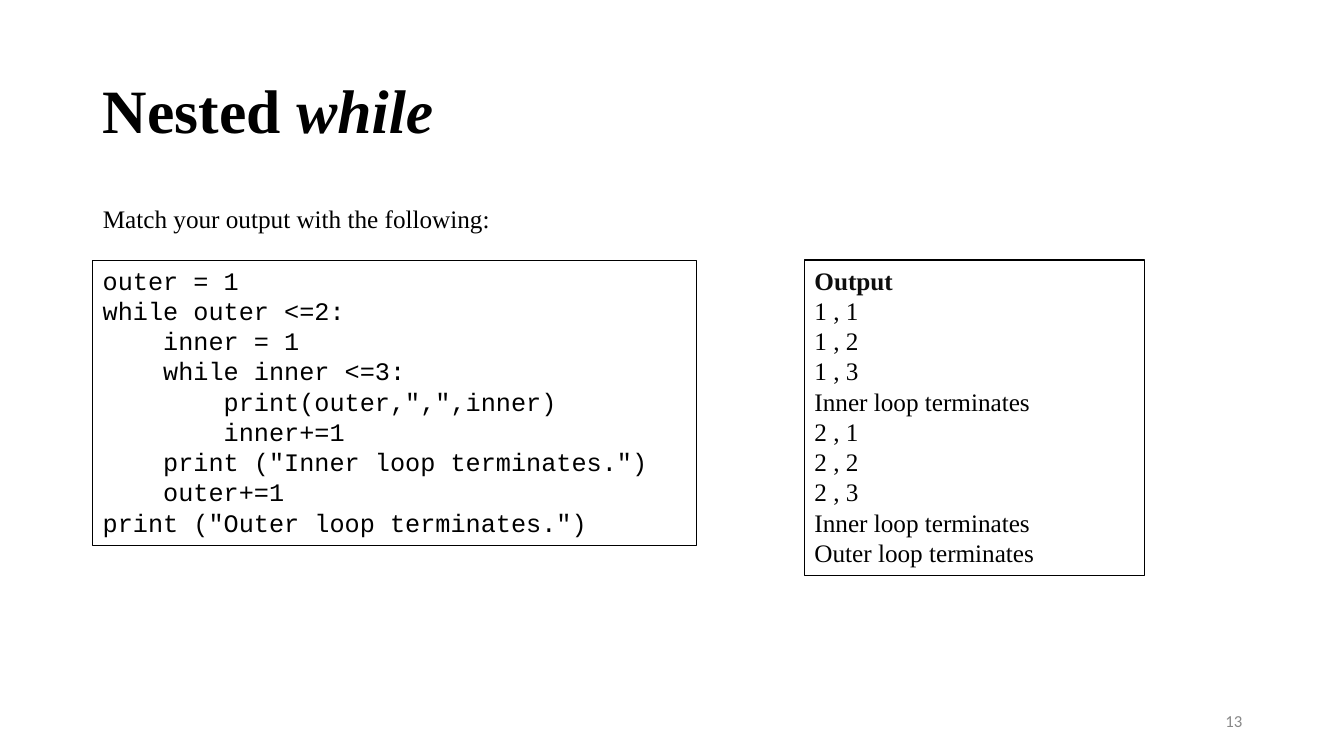
from pptx import Presentation
from pptx.dml.color import RGBColor
from pptx.enum.shapes import MSO_SHAPE
from pptx.enum.text import MSO_ANCHOR, PP_ALIGN
from pptx.util import Inches, Pt
from lxml.etree import SubElement
from pptx.oxml.ns import qn

COLORS = {"black": "000000", "heading": "0D0D0D", "number": "888888"}
SERIF = "Times New Roman"
MONO = "Courier New"
LEFT = 0.92
BOX_TOP = 2.58
CODE_INDENT = 0.6
CODE = [
    (0, "outer = 1"),
    (0, "while outer <=2:"),
    (1, "inner = 1"),
    (1, "while inner <=3:"),
    (2, 'print(outer,",",inner)'),
    (2, "inner+=1"),
    (1, 'print ("Inner loop terminates.")'),
    (1, "outer+=1"),
    (0, 'print ("Outer loop terminates.")'),
]
OUTPUT = [
    "Output",
    "1 , 1",
    "1 , 2",
    "1 , 3",
    "Inner loop terminates",
    "2 , 1",
    "2 , 2",
    "2 , 3",
    "Inner loop terminates",
    "Outer loop terminates",
]


def place(shape, left, top, width, height):
    shape.left, shape.top = Inches(left), Inches(top)
    shape.width, shape.height = Inches(width), Inches(height)


def format_run(run, font, size, color="black", bold=False, italic=False):
    run.font.name = font
    run.font.size = Pt(size)
    run.font.bold = bold
    run.font.italic = italic
    run.font.color.rgb = RGBColor.from_string(COLORS[color])


def set_indent(paragraph, indent):
    properties = paragraph._p.get_or_add_pPr()
    properties.set("marL", str(Inches(indent)))
    properties.set("indent", "0")


def add_title(slide):
    title = slide.shapes.title
    place(title, LEFT, 0.4, 11.5, 1.45)
    title.text_frame.vertical_anchor = MSO_ANCHOR.MIDDLE
    paragraph = title.text_frame.paragraphs[0]
    paragraph.alignment = PP_ALIGN.LEFT
    paragraph.line_spacing = 0.9
    for text, italic in (("Nested ", False), ("while", True)):
        run = paragraph.add_run()
        run.text = text
        format_run(run, SERIF, 44, bold=True, italic=italic)


def add_body(slide):
    body = slide.placeholders[1]
    place(body, LEFT, 2, 11.5, 4.76)
    body.text_frame.text = "Match your output with the following:"
    paragraph = body.text_frame.paragraphs[0]
    paragraph.line_spacing = 0.9
    paragraph.space_before = Pt(0)
    set_indent(paragraph, 0)
    SubElement(paragraph._p.get_or_add_pPr(), qn("a:buNone"))
    format_run(paragraph.runs[0], SERIF, 18)


def add_listing(slide, lines, left, width, height, line_width, font):
    box = slide.shapes.add_shape(
        MSO_SHAPE.RECTANGLE, Inches(left), Inches(BOX_TOP), Inches(width), Inches(height)
    )
    box.shadow.inherit = False
    box.fill.background()
    box.line.color.rgb = RGBColor.from_string(COLORS["black"])
    box.line.width = Pt(line_width)
    frame = box.text_frame
    frame.word_wrap = True
    frame.vertical_anchor = MSO_ANCHOR.TOP
    frame.text = "\n".join(text for level, text in lines)
    for paragraph, (level, text) in zip(frame.paragraphs, lines):
        paragraph.alignment = PP_ALIGN.LEFT
        set_indent(paragraph, level * CODE_INDENT)
        format_run(paragraph.runs[0], font, 18)
    return box


def add_slide_number(slide, number):
    box = slide.shapes.add_textbox(Inches(9.42), Inches(6.95), Inches(3), Inches(0.4))
    frame = box.text_frame
    frame.word_wrap = True
    frame.vertical_anchor = MSO_ANCHOR.MIDDLE
    frame.text = str(number)
    frame.paragraphs[0].alignment = PP_ALIGN.RIGHT
    format_run(frame.paragraphs[0].runs[0], "Calibri", 12, "number")


def main():
    presentation = Presentation()
    presentation.slide_width = Inches(13.33)
    presentation.slide_height = Inches(7.5)
    slide = presentation.slides.add_slide(presentation.slide_layouts[1])
    add_title(slide)
    add_body(slide)
    add_slide_number(slide, 13)
    output = add_listing(slide, [(0, text) for text in OUTPUT], 7.98, 3.37, 3.13, 1, SERIF)
    heading = output.text_frame.paragraphs[0].runs[0]
    format_run(heading, SERIF, 18, "heading", bold=True)
    add_listing(slide, CODE, LEFT, 5.99, 2.83, 0.75, MONO)
    presentation.save("out.pptx")


if __name__ == "__main__":
    main()
